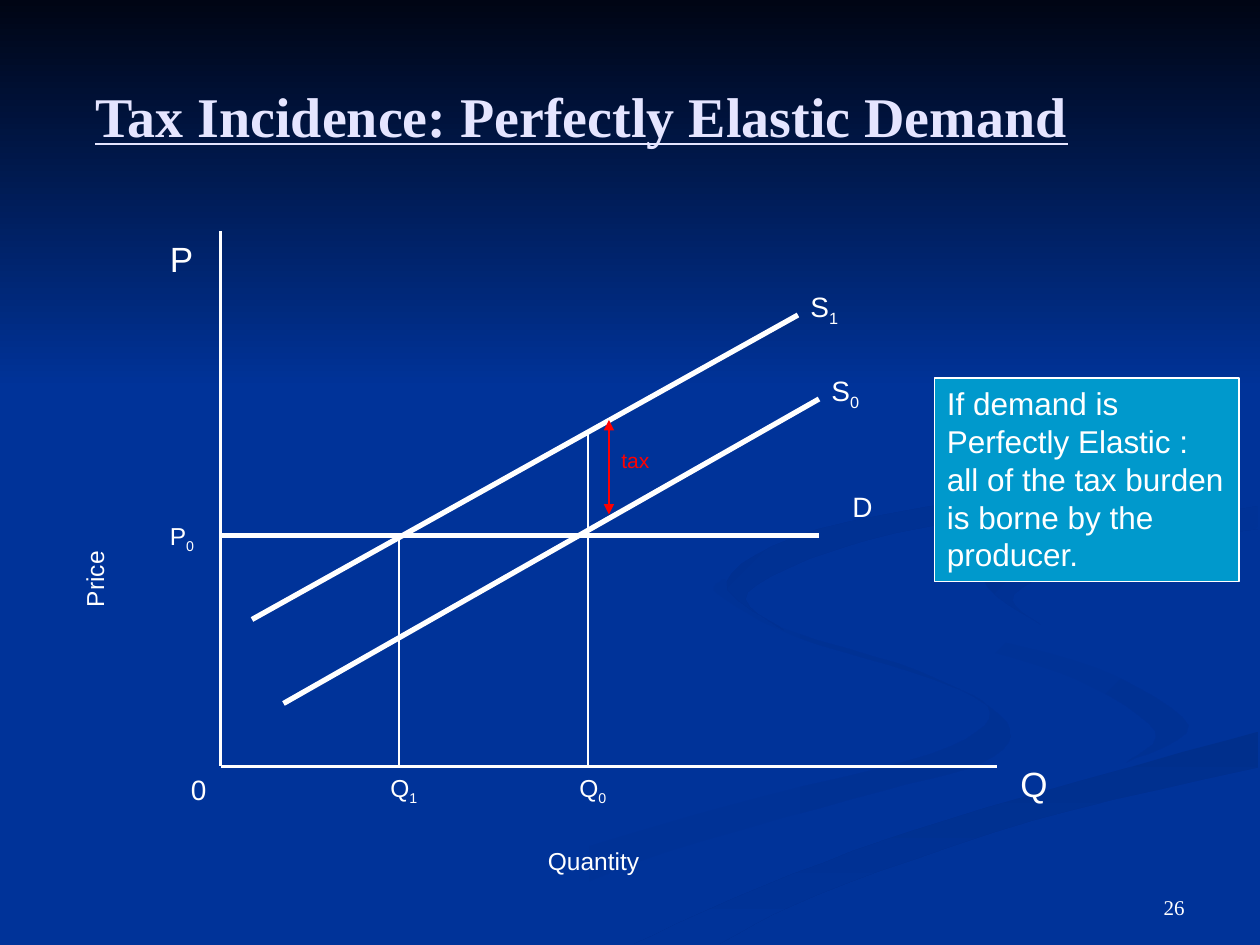
"""Builds the slide on tax incidence under perfectly elastic demand."""
from typing import NamedTuple

import pptx
import pptx.dml.color
import pptx.enum.shapes
import pptx.enum.text
import pptx.oxml.ns
import pptx.util
from lxml import etree

EMU_PER_PX = 7620
CURVE_STEPS = 6
WHITE, RED, BLUE = "FFFFFF", "FF0000", "003399"
ALIGN = pptx.enum.text.PP_ALIGN
ANCHOR = pptx.enum.text.MSO_ANCHOR
RECTANGLE = pptx.enum.shapes.MSO_SHAPE.RECTANGLE
Point = tuple[float, float]


class Ribbon(NamedTuple):
    start: str
    end: str
    angle: int
    near_edge: list[Point]
    far_edge: list[Point]


class Line(NamedTuple):
    x1: int
    y1: int
    x2: int
    y2: int
    weight: float
    color: str = WHITE
    arrows: bool = False


class Label(NamedTuple):
    x: int
    y: int
    width: int
    size: int
    text: str
    subscript: str = ""
    color: str = WHITE


RIBBONS = [
    Ribbon(BLUE, "003193", 0,
           [(690, 551), (684, 566), (757, 606), (889, 647), (943, 679), (887, 718),
            (695, 767), (500, 828), (360, 899)],
           [(433, 899), (599, 824), (811, 761), (936, 726), (959, 688), (877, 640),
            (737, 595), (690, 551)]),
    Ribbon(BLUE, "003193", 45,
           [(869, 557), (906, 606), (1025, 647), (1100, 696), (1073, 726)],
           [(1073, 726), (1132, 691), (1044, 636), (910, 598), (869, 557)]),
    Ribbon("002F8C", BLUE, 90,
           [(604, 899), (756, 832), (937, 770), (1198, 697)],
           [(1198, 731), (985, 781), (779, 852), (685, 899)]),
    Ribbon("003091", BLUE, 45,
           [(991, 595), (966, 566), (1054, 527), (1198, 504)],
           [(1198, 482), (1002, 516), (937, 552), (991, 595)]),
    Ribbon("002F8E", BLUE, 45,
           [(914, 280), (1044, 359), (1063, 418), (982, 463), (779, 504), (692, 554),
            (746, 600)],
           [(746, 600), (712, 564), (820, 516), (1026, 469), (1073, 413), (1037, 349),
            (914, 280)]),
]

LINES = [
    Line(210, 220, 210, 730, 1.5),
    Line(210, 730, 950, 730, 1.5),
    Line(270, 670, 780, 380, 3),
    Line(240, 590, 760, 300, 3),
    Line(580, 400, 580, 490, 1.5, RED, True),
    Line(780, 510, 210, 510, 3),
    Line(560, 410, 560, 730, 0.75),
    Line(380, 510, 380, 730, 0.75),
]

LABELS = [
    Label(540, 730, 60, 14, "Q", "0"),
    Label(360, 730, 60, 14, "Q", "1"),
    Label(170, 730, 40, 16, "0"),
    Label(960, 720, 60, 20, "Q"),
    Label(150, 220, 60, 20, "P"),
    Label(510, 800, 170, 14, "Quantity"),
    Label(780, 350, 70, 16, "S", "0"),
    Label(760, 270, 70, 16, "S", "1"),
    Label(800, 460, 60, 16, "D"),
    Label(150, 490, 60, 14, "P", "0"),
    Label(580, 420, 70, 12, "tax", color=RED),
]


def px(length: int) -> pptx.util.Emu:
    return pptx.util.Emu(length * EMU_PER_PX)


def rgb(color: str) -> pptx.dml.color.RGBColor:
    return pptx.dml.color.RGBColor.from_string(color)


def smooth(knots: list[Point]) -> list[Point]:
    """Return points on a Catmull-Rom curve through the knots."""
    padded = [knots[0], *knots, knots[-1]]
    curve = [knots[0]]
    for before, start, end, after in zip(padded, padded[1:], padded[2:], padded[3:]):
        for step in range(1, CURVE_STEPS + 1):
            t = step / CURVE_STEPS
            curve.append(tuple(
                b + (c - a) * t / 2 + (2 * a - 5 * b + 4 * c - d) * t ** 2 / 2
                + (3 * b - a - 3 * c + d) * t ** 3 / 2
                for a, b, c, d in zip(before, start, end, after)))
    return curve


def paint_gradient(shape, start: str, end: str, angle: int) -> None:
    shape.shadow.inherit = False
    shape.line.fill.background()
    shape.fill.gradient()
    shape.fill.gradient_angle = -angle % 360
    for stop, color in zip(shape.fill.gradient_stops, (start, end)):
        stop.color.rgb = rgb(color)


def draw_ribbon(slide, ribbon: Ribbon) -> None:
    outline = smooth(ribbon.near_edge) + smooth(ribbon.far_edge)
    builder = slide.shapes.build_freeform(*outline[0], scale=EMU_PER_PX)
    builder.add_line_segments(outline[1:], close=True)
    paint_gradient(builder.convert_to_shape(), ribbon.start, ribbon.end, ribbon.angle)


def draw_line(slide, line: Line) -> None:
    connector = slide.shapes.add_connector(
        pptx.enum.shapes.MSO_CONNECTOR.STRAIGHT,
        px(line.x1), px(line.y1), px(line.x2), px(line.y2))
    connector.line.color.rgb = rgb(line.color)
    connector.line.width = pptx.util.Pt(line.weight)
    if line.arrows:
        outline = connector.line._get_or_add_ln()
        for end in ("a:headEnd", "a:tailEnd"):
            etree.SubElement(outline, pptx.oxml.ns.qn(end), type="triangle")
    etree.SubElement(connector._element.spPr, pptx.oxml.ns.qn("a:effectLst"))


def write(shape, text: str, size: int, color: str = WHITE, font: str = "Arial",
          anchor=ANCHOR.TOP, align=ALIGN.LEFT):
    shape.text_frame.word_wrap = True
    shape.text_frame.vertical_anchor = anchor
    shape.text_frame.text = text
    paragraph = shape.text_frame.paragraphs[0]
    paragraph.alignment = align
    paragraph.font.name = font
    paragraph.font.size = pptx.util.Pt(size)
    paragraph.font.color.rgb = rgb(color)
    return paragraph


def add_box(slide, x: int, y: int, width: int, height: int):
    return slide.shapes.add_textbox(px(x), px(y), px(width), px(height))


def draw_label(slide, label: Label) -> None:
    box = add_box(slide, label.x, label.y, label.width, 2 * label.size + 12)
    paragraph = write(box, label.text, label.size, label.color)
    if label.subscript:
        subscript = paragraph.add_run()
        subscript.text = label.subscript
        subscript._r.get_or_add_rPr().set("baseline", "-25000")


def main() -> None:
    deck = pptx.Presentation()
    deck.slide_width, deck.slide_height = px(1200), px(900)
    slide = deck.slides.add_slide(deck.slide_layouts[6])
    slide.background.fill.solid()
    slide.background.fill.fore_color.rgb = rgb(BLUE)
    for ribbon in RIBBONS:
        draw_ribbon(slide, ribbon)
    sky = slide.shapes.add_shape(RECTANGLE, 0, 0, px(1200), px(370))
    paint_gradient(sky, "000514", BLUE, 90)

    title = write(add_box(slide, 79, 46, 1044, 128), "Tax Incidence: Perfectly Elastic Demand",
                  32, "E5E5FF", "Times New Roman", ANCHOR.MIDDLE)
    title.font.bold = title.font.underline = True
    for line in LINES:
        draw_line(slide, line)
    for label in LABELS:
        draw_label(slide, label)
    price = add_box(slide, 70, 400, 52, 190)
    write(price, "Price", 14)
    price.text_frame._txBody.bodyPr.set("vert", "vert270")

    burden = slide.shapes.add_shape(RECTANGLE, px(890), px(360), px(290), px(194))
    burden.shadow.inherit = False
    burden.fill.solid()
    burden.fill.fore_color.rgb = rgb("0099CC")
    burden.line.color.rgb = rgb(WHITE)
    burden.line.width = pptx.util.Pt(0.75)
    write(burden, "If demand is Perfectly Elastic :\vall of the tax burden is borne by the producer.", 18)
    write(add_box(slide, 860, 820, 280, 62), "26", 12, WHITE, "Times New Roman",
          ANCHOR.BOTTOM, ALIGN.RIGHT)
    deck.save("out.pptx")


if __name__ == "__main__":
    main()
